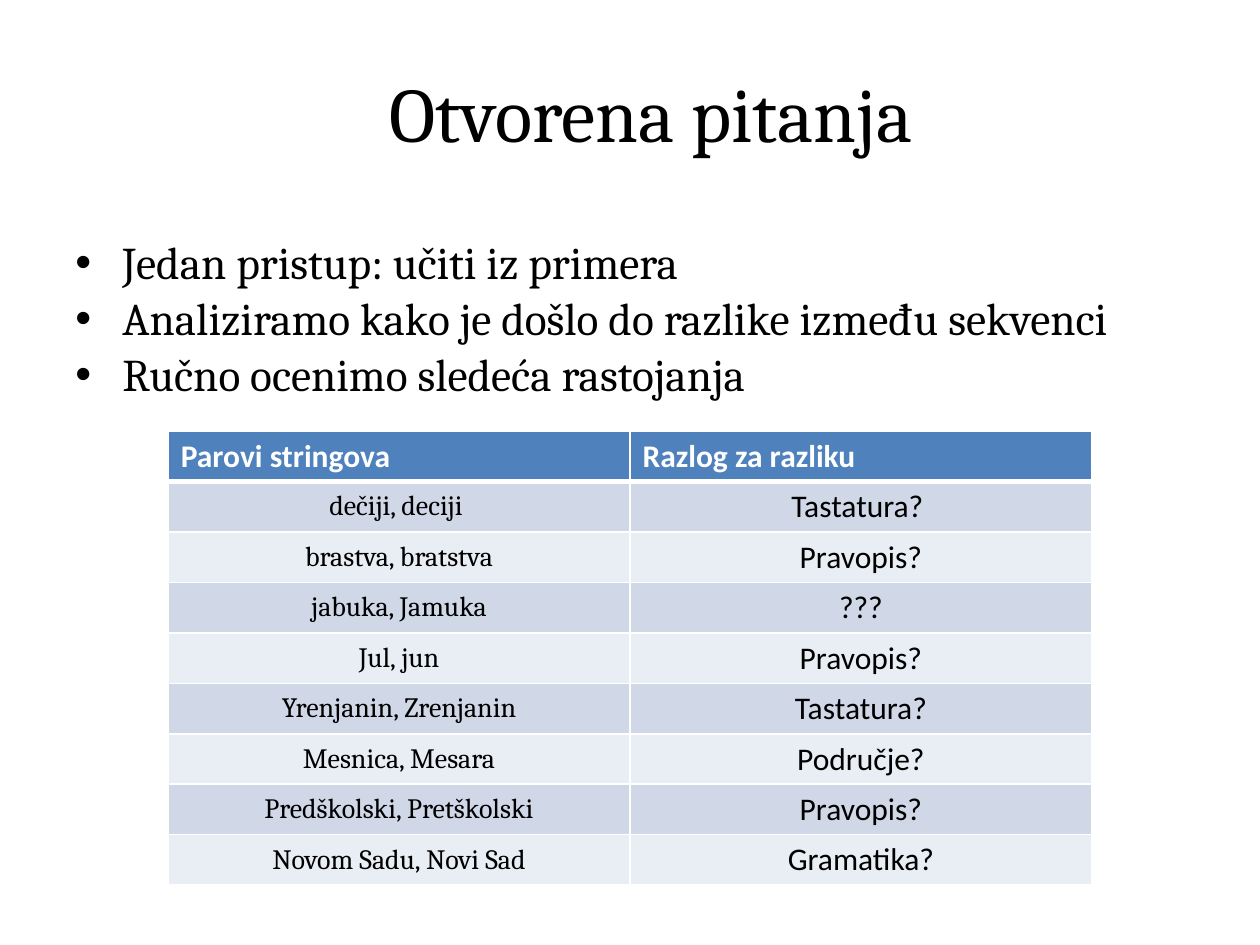
from dataclasses import dataclass

from lxml.etree import SubElement
from pptx import Presentation
from pptx.dml.color import RGBColor as Color
from pptx.enum.text import MSO_ANCHOR as Anchor, PP_ALIGN as Align
from pptx.oxml.ns import qn
from pptx.util import Cm, Pt


@dataclass(frozen=True)
class Theme:
    ink: str = "000000"
    paper: str = "FFFFFF"
    header: str = "4F81BD"
    bands: tuple = ("D0D8E8", "E9EDF4")
    serif: str = "Cambria"
    sans: str = "Calibri"
    title: float = 44
    body: float = 25.9
    cell: float = 18
    pair: float = 16


theme = Theme()


def style(para, name, size, color, bold=False):
    para.font.name = name
    para.font.size = Pt(size)
    para.font.bold = bold
    para.font.color.rgb = Color.from_string(color)


def add_border(cell, side, width):
    line = SubElement(cell._tc.get_or_add_tcPr(), qn(f"a:ln{side}"), w=str(Pt(width)))
    fill = SubElement(line, qn("a:solidFill"))
    SubElement(fill, qn("a:srgbClr"), val=theme.paper)


deck = Presentation()
deck.slide_width, deck.slide_height = Cm(25.4), Cm(19.05)
page = deck.slides.add_slide(deck.slide_layouts[6])

points = [
    "Jedan pristup: učiti iz primera",
    "Analiziramo kako je došlo do razlike između sekvenci",
    "Ručno ocenimo sledeća rastojanja",
]
body = page.shapes.add_textbox(Cm(1.27), Cm(4.6), Cm(22.86), Cm(4.7)).text_frame
body.word_wrap = True
for index, point in enumerate(points):
    para = body.paragraphs[0] if index == 0 else body.add_paragraph()
    para.text = point
    para.space_before = Pt(1 if index else 0)
    properties = para._p.get_or_add_pPr()
    properties.set("marL", str(Cm(0.95)))
    properties.set("indent", str(-Cm(0.95)))
    SubElement(properties, qn("a:buFont"), typeface="Arial")
    SubElement(properties, qn("a:buChar"), char="•")
    style(para, theme.serif, theme.body, theme.ink)

title = page.shapes.add_textbox(Cm(1.7), Cm(1.19), Cm(22.86), Cm(3.18)).text_frame
title.word_wrap = True
title.text = "Otvorena pitanja"
title.paragraphs[0].alignment = Align.CENTER
style(title.paragraphs[0], theme.serif, theme.title, theme.ink)

rows = [
    ("Parovi stringova", "Razlog za razliku"),
    ("dečiji, deciji ", "Tastatura? "),
    ("brastva, bratstva", "Pravopis?"),
    ("jabuka, Jamuka", "???"),
    ("Jul, jun", "Pravopis?"),
    ("Yrenjanin, Zrenjanin", "Tastatura?"),
    ("Mesnica, Mesara", "Područje?"),
    ("Predškolski, Pretškolski", "Pravopis?"),
    ("Novom Sadu, Novi Sad", "Gramatika?"),
]
table = page.shapes.add_table(
    len(rows), 2, Cm(3.39), Cm(8.69), Cm(18.62), Cm(9.14)
).table
for row_index, row in enumerate(rows):
    for column_index, text in enumerate(row):
        cell = table.cell(row_index, column_index)
        cell.text = text
        para = cell.text_frame.paragraphs[0]
        add_border(cell, "L", 1)
        add_border(cell, "R", 1)
        add_border(cell, "T", 3 if row_index == 1 else 1)
        add_border(cell, "B", 3 if row_index == 0 else 1)
        cell.fill.solid()
        if row_index == 0:
            cell.fill.fore_color.rgb = Color.from_string(theme.header)
            style(para, theme.sans, theme.cell, theme.paper, bold=True)
            continue
        cell.fill.fore_color.rgb = Color.from_string(theme.bands[(row_index - 1) % 2])
        para.alignment = Align.CENTER
        if column_index == 0:
            cell.vertical_anchor = Anchor.MIDDLE
            cell.margin_left = cell.margin_right = 0
            cell.margin_top = cell.margin_bottom = 0
            style(para, theme.serif, theme.pair, theme.ink)
        else:
            style(para, theme.sans, theme.cell, theme.ink)

deck.save("out.pptx")
